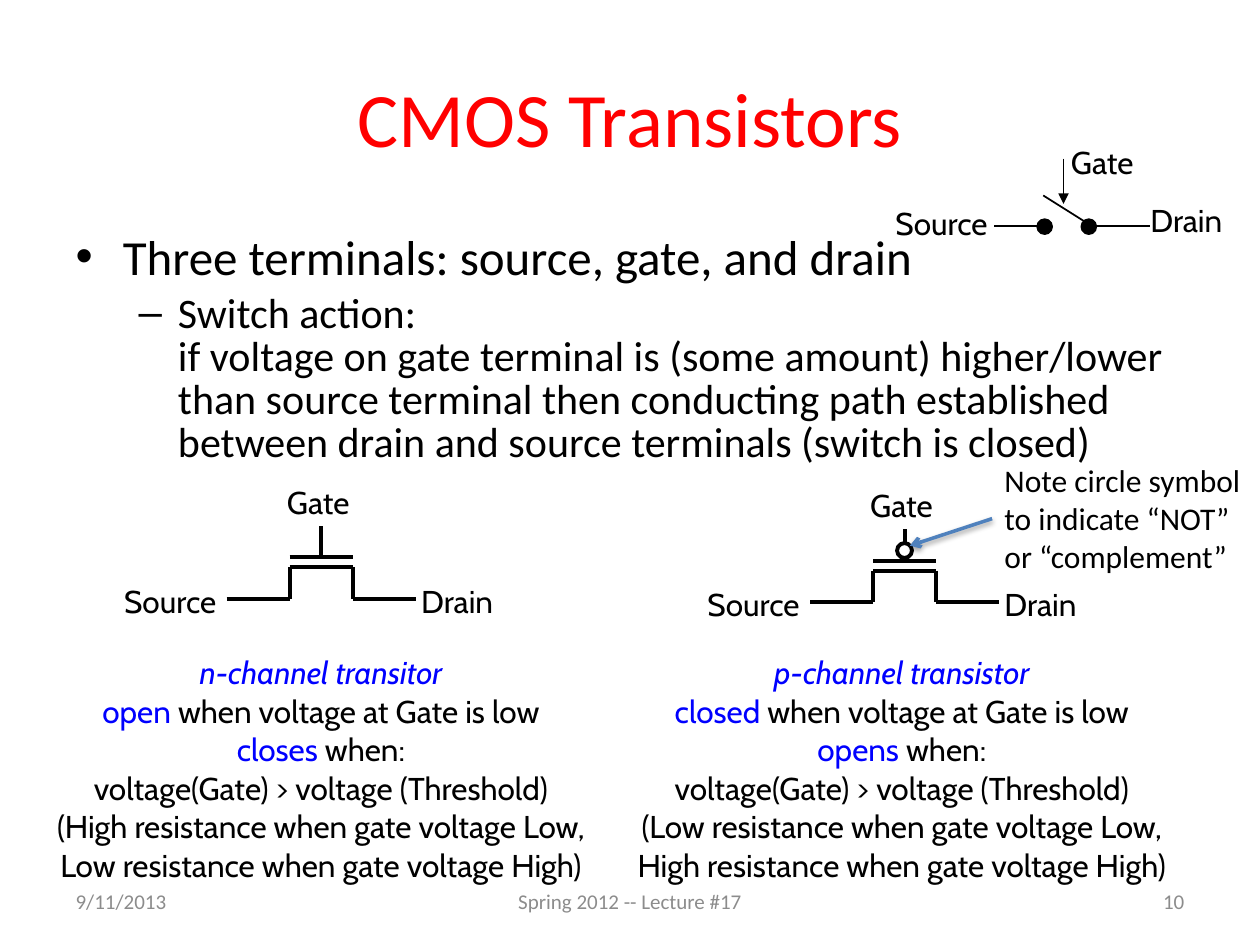
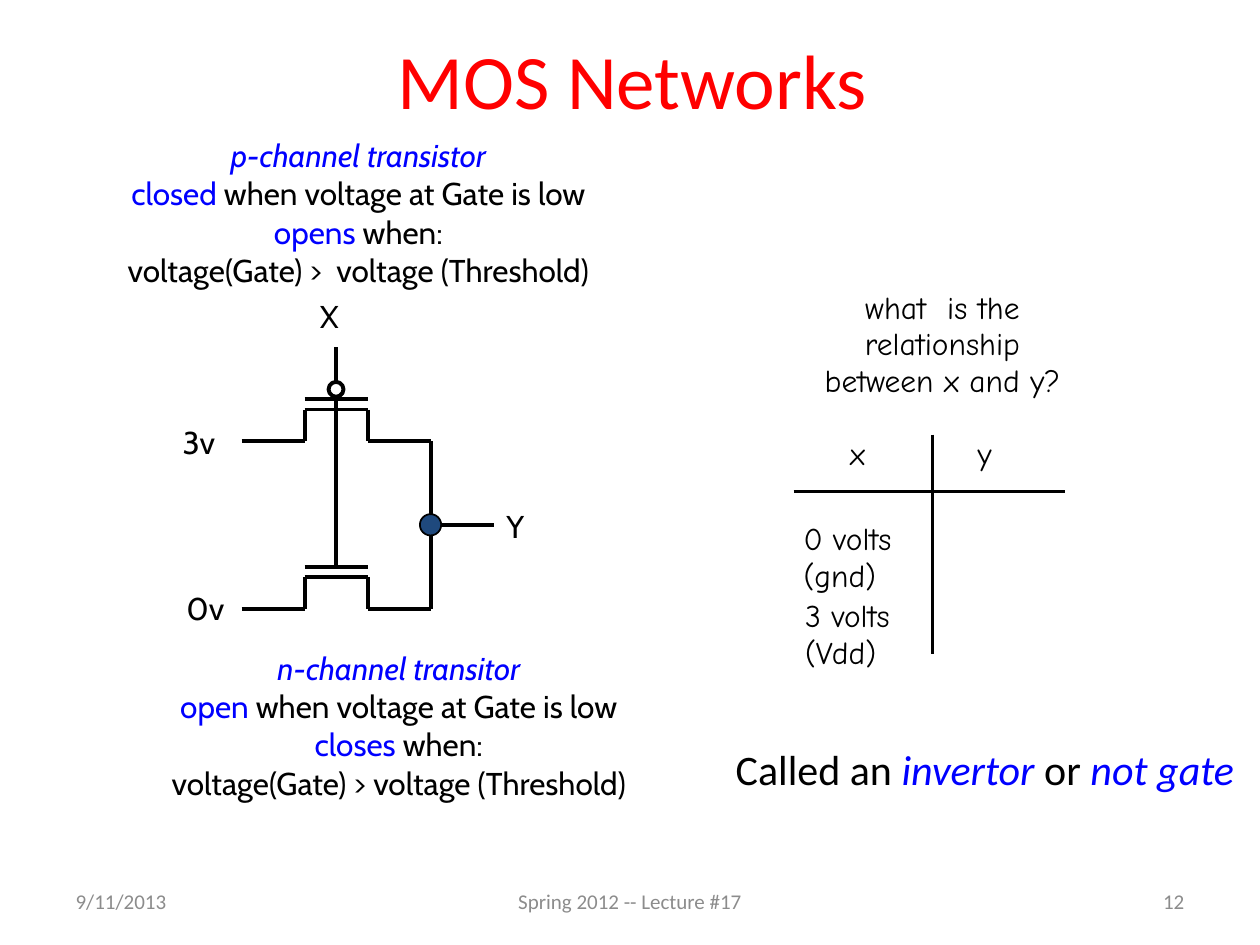
from copy import deepcopy
from itertools import pairwise

from lxml.etree import SubElement
from pptx import Presentation
from pptx.dml.color import RGBColor
from pptx.enum.shapes import MSO_CONNECTOR, MSO_SHAPE
from pptx.enum.text import MSO_AUTO_SIZE, PP_ALIGN
from pptx.oxml.ns import qn
from pptx.util import Cm, Pt

BLACK, WHITE, RED, BLUE = "000000", "FFFFFF", "FF0000", "0000FF"
GRAY, ACCENT, NAVY = "8C8C8C", "4F81BD", "1F497D"

TITLE = {"name": "Calibri", "size": Pt(44), "color": RED}
BODY = {"name": "Calibri", "size": Pt(28), "color": BLACK}
SUBPOINT = {"size": Pt(24)}
FOOTER = {"name": "Calibri", "size": Pt(12), "color": GRAY}
LABEL = {"name": "Cabin", "size": Pt(18), "color": BLACK}
HAND = {**LABEL, "name": "Comic Neue"}
NOTE = {**LABEL, "name": "Calibri"}
CLOSING = {**NOTE, "size": Pt(24)}
TERM = {"color": BLUE}
NAME = {"color": BLUE, "italic": True}

TIGHT = {"margin_left": Cm(0.05), "margin_right": Cm(0.05),
         "margin_top": Cm(0.08), "margin_bottom": Cm(0.08), "word_wrap": False}
LEFT, CENTER, RIGHT = PP_ALIGN.LEFT, PP_ALIGN.CENTER, PP_ALIGN.RIGHT

DATE, COURSE = "9/11/2013", "Spring 2012 -- Lecture #17"
THRESHOLD = "voltage(Gate) > voltage (Threshold)"
N_CHANNEL = [("n-channel transitor\n", NAME), ("open ", TERM),
             ("when voltage at Gate is low\n", {}), ("closes ", TERM), ("when:", {})]
P_CHANNEL = [("p-channel transistor\n", NAME), ("closed ", TERM),
             ("when voltage at Gate is low\n", {}), ("opens ", TERM), ("when:", {})]

SWITCH_POINTS = [
    "Three terminals: source, gate, and drain",
    [("Switch action:\nif voltage on gate terminal is (some amount) higher/lower than source "
      "terminal then conducting path established between drain and source terminals "
      "(switch is closed)", SUBPOINT)],
]
TRANSISTOR_DESCRIPTIONS = [
    ((0.87, 13.08, 11.2, 4.7),
     [N_CHANNEL, THRESHOLD, "(High resistance when gate voltage Low,",
      "Low resistance when gate voltage High)"]),
    ((12.58, 13.08, 11.2, 4.7),
     [P_CHANNEL, THRESHOLD, "(Low resistance when gate voltage Low,",
      "High resistance when gate voltage High)"]),
]
TRANSISTORS = [(4.57, 12.07, False), (16.33, 12.14, True)]
CIRCLE_NOTE = "Note circle symbol to indicate “NOT” or “complement”"

LABEL_WIDTH = 2.2
SWITCH_LINES = [((20.04, 4.55), (21, 4.55)), ((21.03, 3.94), (21.95, 4.52)),
                ((21.97, 4.55), (23.19, 4.55))]
SWITCH_CONTACTS = [(21.06, 4.57), (21.95, 4.57)]
SWITCH_LABELS = [("Gate", 21.54, 2.65, LEFT), ("Drain", 23.14, 3.82, LEFT),
                 ("Source", 17.76, 3.87, RIGHT)]

NETWORK_DESCRIPTIONS = [
    ((0, 2.64, 14.45, 3.48), [P_CHANNEL, "voltage(Gate) >  voltage (Threshold)"]),
    ((2.49, 12.98, 11.1, 3.48), [N_CHANNEL, THRESHOLD]),
]
NETWORK_LEFT, P_BASELINE, N_BASELINE = 4.87, 8.89, 12.27
NETWORK_LABELS = [("3v", 3.63, 8.46), ("X", 6.4, 5.92), ("Y", 10.16, 10.16), ("0v", 3.71, 11.81)]
TRUTH_LINES = [((16, 9.91), (21.46, 9.91)), ((18.8, 8.76), (18.8, 13.18))]
TRUTH_CELLS = [(["x"], 17.09, 8.69), (["y"], 19.66, 8.69),
               (["0 volts", "(gnd)"], 16.15, 10.41), (["3 volts", "(Vdd)"], 16.18, 11.96)]
QUESTION = "what  is the\nrelationship\nbetween x and y?"
INVERTER = [("Called an ", {}), ("invertor ", NAME), ("or ", {}), ("not gate", NAME)]

UNIT = 1.27
CHANNEL_PATH = [(0, 0), (1, 0), (1, -0.5), (2, -0.5), (2, 0), (3, 0)]
PLATE_PATH = [(1, -0.66), (2, -0.66)]
GATE_PATH = [(1.5, -0.66), (1.5, -1.16)]
BUBBLE_RISE = 0.82
DOT = 0.3


def color(value):
    return RGBColor.from_string(value)


def set_values(target, values):
    for name, value in values.items():
        setattr(target, name, value)


def write(frame, paragraphs, style, values=None):
    frame.clear()
    for index, content in enumerate(paragraphs):
        paragraph = frame.paragraphs[0] if index == 0 else frame.add_paragraph()
        set_values(paragraph, values or {})
        runs = [(content, {})] if isinstance(content, str) else content
        for text, extra in runs:
            font_values = {**style, **extra}
            font_color = font_values.pop("color")
            for line_index, line in enumerate(text.split("\n")):
                if line_index:
                    paragraph.add_line_break()
                if line:
                    run = paragraph.add_run()
                    run.text = line
                    set_values(run.font, font_values)
                    run.font.color.rgb = color(font_color)


def place(shape, box):
    set_values(shape, dict(zip(("left", "top", "width", "height"), map(Cm, box))))


def add_text(shapes, box, paragraphs, style, spacing=None, alignment=LEFT, frame_values=TIGHT):
    text_box = shapes.add_textbox(*map(Cm, box))
    set_values(text_box.text_frame, frame_values)
    values = {"alignment": alignment}
    if spacing:
        values["line_spacing"] = Pt(spacing)
    write(text_box.text_frame, paragraphs, style, values)
    return text_box


def add_line(shapes, start, end, width=2.25, line_color=BLACK, arrow=None):
    line = shapes.add_connector(MSO_CONNECTOR.STRAIGHT, *map(Cm, (*start, *end)))
    line.line.width = Pt(width)
    line.line.color.rgb = color(line_color)
    if arrow:
        SubElement(line.line._get_or_add_ln(), qn("a:tailEnd"), type=arrow)
    SubElement(line.element.spPr, qn("a:effectLst"))
    return line


def add_path(shapes, points):
    for start, end in pairwise(points):
        add_line(shapes, start, end)


def add_dot(shapes, x, y, fill, diameter=DOT, width=1):
    dot = shapes.add_shape(MSO_SHAPE.OVAL, Cm(x - diameter / 2), Cm(y - diameter / 2),
                           Cm(diameter), Cm(diameter))
    dot.shadow.inherit = False
    dot.fill.solid()
    dot.fill.fore_color.rgb = color(fill)
    dot.line.color.rgb = color(BLACK)
    dot.line.width = Pt(width)


def add_transistor(slide, left, baseline, inverted):
    shapes = slide.shapes.add_group_shape().shapes
    for path_points in (CHANNEL_PATH, PLATE_PATH, GATE_PATH):
        add_path(shapes, [(left + x * UNIT, baseline + y * UNIT) for x, y in path_points])
    if inverted:
        add_dot(shapes, left + 1.5 * UNIT, baseline - BUBBLE_RISE * UNIT, WHITE, width=2.25)


def add_terminal_labels(slide, left, baseline):
    for text, x, y, alignment in [
        ("Gate", left + 1.5 * UNIT - 0.06 - LABEL_WIDTH / 2, baseline - 2.43, CENTER),
        ("Source", left - 0.16 - LABEL_WIDTH, baseline - 0.44, RIGHT),
        ("Drain", left + 3 * UNIT + 0.06, baseline - 0.44, LEFT),
    ]:
        add_text(slide.shapes, (x, y, LABEL_WIDTH, 1.19), [text], LABEL, 22, alignment)


def add_slide(presentation, layout_index, title, title_box, number):
    layout = presentation.slide_layouts[layout_index]
    slide = presentation.slides.add_slide(layout)
    footers = {10: DATE, 11: COURSE, 12: number}
    for placeholder in layout.placeholders:
        index = placeholder.placeholder_format.idx
        if index in footers:
            slide.shapes.element.append(deepcopy(placeholder.element))
    for placeholder in slide.placeholders:
        index = placeholder.placeholder_format.idx
        if index in footers:
            write(placeholder.text_frame, [footers[index]], FOOTER)
    place(slide.shapes.title, title_box)
    slide.shapes.title.text_frame.auto_size = MSO_AUTO_SIZE.NONE
    write(slide.shapes.title.text_frame, [title], TITLE)
    return slide


def add_descriptions(slide, descriptions):
    for box, paragraphs in descriptions:
        add_text(slide.shapes, box, paragraphs, LABEL, 22, CENTER)


def add_switch(slide):
    shapes = slide.shapes.add_group_shape().shapes
    for start, end in SWITCH_LINES:
        add_line(shapes, start, end, 1)
    add_line(shapes, (21.44, 3.2), (21.44, 4.11), 1, arrow="triangle")
    for x, y in SWITCH_CONTACTS:
        add_dot(shapes, x, y, BLACK)
    for text, x, y, alignment in SWITCH_LABELS:
        add_text(shapes, (x, y, LABEL_WIDTH, 1.24), [text], LABEL, 26, alignment)


def add_circle_note(slide):
    note = add_text(slide.shapes, (20, 9.17, 5.4, 2.57), [CIRCLE_NOTE], NOTE,
                    frame_values={"word_wrap": True})
    arrow = add_line(slide.shapes, (20, 10.46), (18.34, 11), 2, ACCENT, "arrow")
    arrow.begin_connect(note, 1)
    effects = arrow.element.spPr.find(qn("a:effectLst"))
    shadow = SubElement(effects, qn("a:outerShdw"), blurRad="40000", dist="20000",
                        dir="5400000", rotWithShape="0")
    shadow_color = SubElement(shadow, qn("a:srgbClr"), val=BLACK)
    SubElement(shadow_color, qn("a:alpha"), val="38000")


def build_transistors(presentation):
    slide = add_slide(presentation, 1, "CMOS Transistors", (1.27, 0.76, 22.86, 3.18), "10")
    body = slide.placeholders[1]
    place(body, (1.27, 4.43, 22.86, 5.23))
    body.text_frame.auto_size = MSO_AUTO_SIZE.NONE
    write(body.text_frame, SWITCH_POINTS, BODY)
    first, second = body.text_frame.paragraphs
    first.space_before = Pt(0)
    set_values(second, {"level": 1, "line_spacing": 0.85})
    add_descriptions(slide, TRANSISTOR_DESCRIPTIONS)
    for left, baseline, inverted in TRANSISTORS:
        add_transistor(slide, left, baseline, inverted)
        add_terminal_labels(slide, left, baseline)
    add_circle_note(slide)
    add_switch(slide)


def build_networks(presentation):
    slide = add_slide(presentation, 5, "MOS Networks", (1.32, 0, 22.86, 3.18), "12")
    shapes = slide.shapes
    gate_x = NETWORK_LEFT + 1.5 * UNIT
    output_x = NETWORK_LEFT + 3 * UNIT
    output_y = (P_BASELINE + N_BASELINE) / 2
    add_line(shapes, (output_x, P_BASELINE), (output_x, N_BASELINE))
    add_line(shapes, (output_x, output_y), (output_x + UNIT, output_y))
    add_line(shapes, (gate_x, 11.02), (gate_x, 6.99))
    add_transistor(slide, NETWORK_LEFT, N_BASELINE, False)
    add_transistor(slide, NETWORK_LEFT, P_BASELINE, True)
    add_dot(shapes, output_x, output_y, NAVY, 0.43)
    for text, x, y in NETWORK_LABELS:
        add_text(shapes, (x, y, 1.02, 1.14), [text], LABEL, 21)
    for start, end in TRUTH_LINES:
        add_line(shapes, start, end, 2)
    for lines, x, y in TRUTH_CELLS:
        add_text(shapes, (x, y, 2.46, 1.14), lines, HAND, 21)
    add_text(shapes, (16.08, 5.74, 5.84, 2.62), [QUESTION], HAND, 21, CENTER)
    add_descriptions(slide, NETWORK_DESCRIPTIONS)
    add_text(shapes, (14.58, 14.86, 10.82, 1.27), [INVERTER], CLOSING,
             frame_values={"word_wrap": False})


def main():
    presentation = Presentation()
    set_values(presentation, {"slide_width": Cm(25.4), "slide_height": Cm(19.05)})
    build_transistors(presentation)
    build_networks(presentation)
    presentation.save("out.pptx")


if __name__ == "__main__":
    main()
